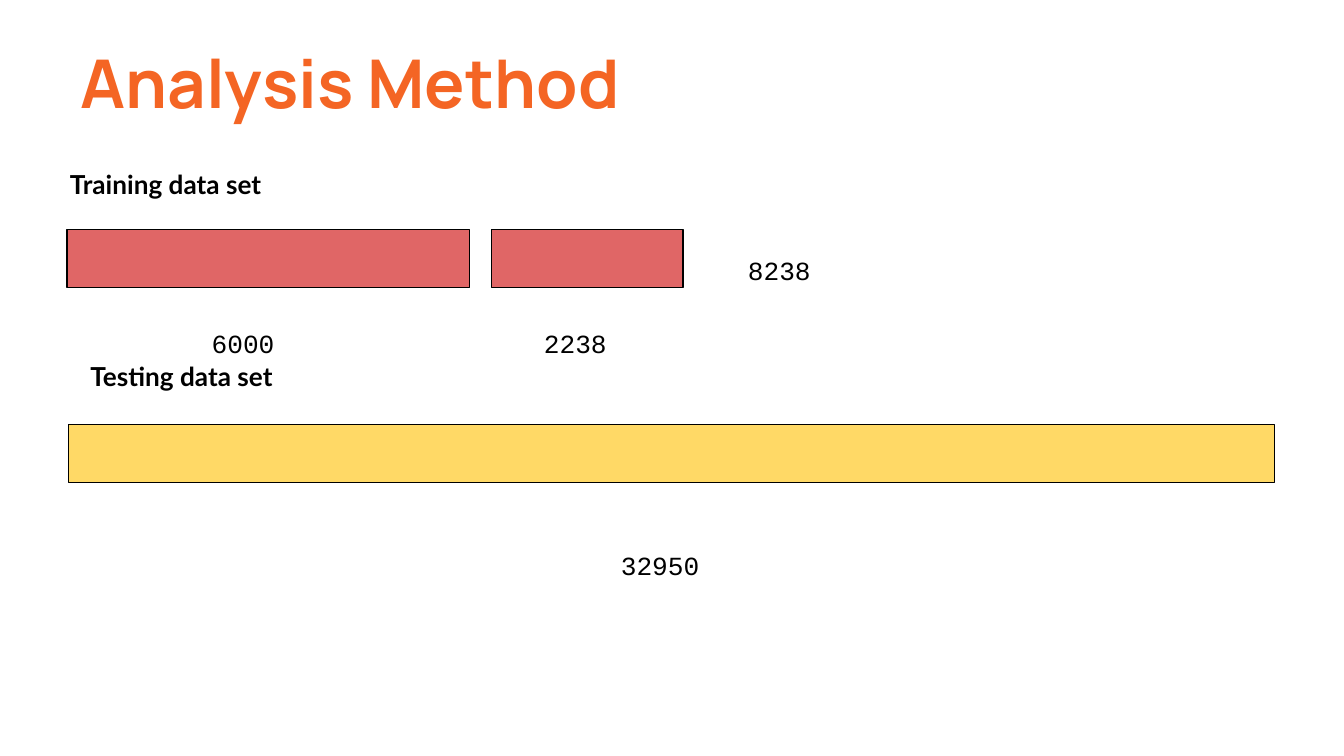
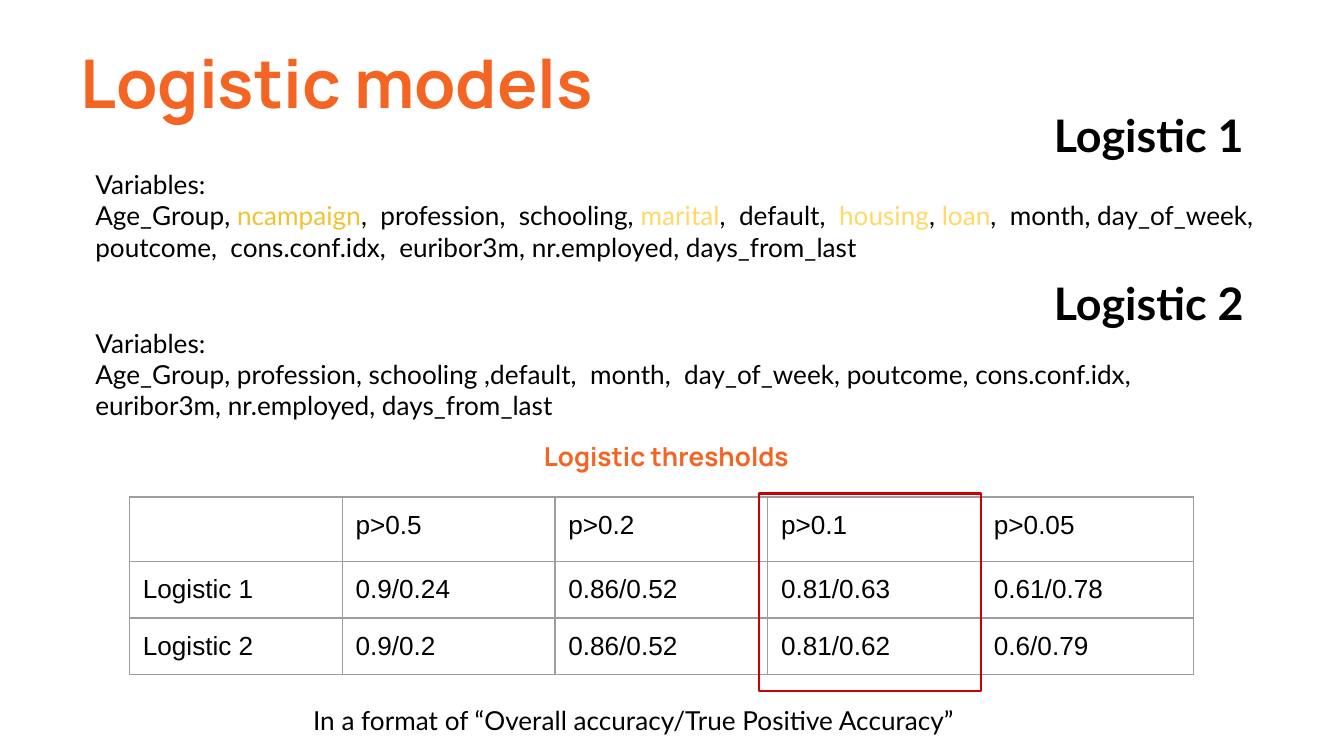
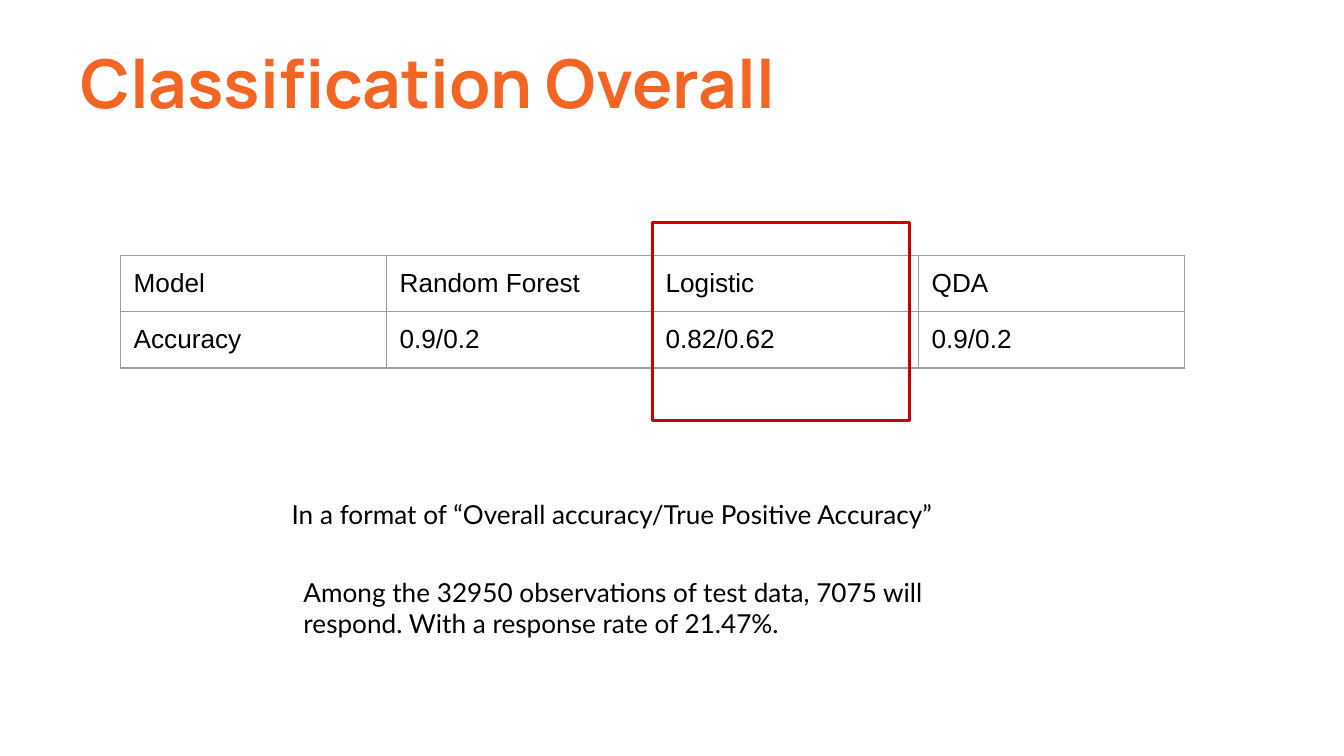
from pptx import Presentation
from pptx.dml.color import RGBColor as Rgb
from pptx.enum.shapes import MSO_SHAPE as Shape
from pptx.enum.text import MSO_AUTO_SIZE as Fit
from pptx.oxml.ns import qn
from pptx.util import Pt
from lxml.etree import SubElement as Sub

HUES = {
    "ink": "000000",
    "brand": "F46524",
    "train": "E06666",
    "test": "FFD966",
    "gold": "F1C232",
    "grid": "9E9E9E",
    "mark": "CC0000",
}
INSET = 7.2
NOTE = "In a format of “Overall accuracy/True Positive Accuracy”"
FULL = [
    ["Variables:"],
    ["Age_Group, ", ("ncampaign", "gold"), ",  profession,  schooling, ",
     ("marital", "test"), ",  default,  ", ("housing", "test"), ", ",
     ("loan", "test"),
     ",  month, day_of_week, poutcome,  cons.conf.idx,  euribor3m, "
     "nr.employed, days_from_last"],
]
SHORT = [
    ["Variables:"],
    ["Age_Group, profession, schooling ,default,  month,  day_of_week, "
     "poutcome, cons.conf.idx, euribor3m, nr.employed, days_from_last"],
]
LIMITS = [
    ["", "p>0.5", "p>0.2", "p>0.1", "p>0.05"],
    ["Logistic 1", "0.9/0.24", "0.86/0.52", "0.81/0.63", "0.61/0.78"],
    ["Logistic 2", "0.9/0.2", "0.86/0.52", "0.81/0.62", "0.6/0.79"],
]
MODELS = [
    ["Model", "Random Forest", "Logistic", "QDA"],
    ["Accuracy", "0.9/0.2", "0.82/0.62", "0.9/0.2"],
]


def hue(name):
    """Return the named colour."""
    return Rgb.from_string(HUES[name])


def write(frame, text, size=14, font="Lato", color="ink", bold=False,
          space=None, after=None):
    """Fill a frame with a string or with lists of runs."""
    rows = [[text]] if isinstance(text, str) else text
    for i, row in enumerate(rows):
        para = frame.add_paragraph() if i else frame.paragraphs[0]
        para.line_spacing = space
        para.space_after = None if after is None else Pt(after)
        para.font.size = Pt(size)
        for part in row:
            words, tint = (part, color) if isinstance(part, str) else part
            run = para.add_run()
            run.text = words
            run.font.size = Pt(size)
            run.font.name = font
            run.font.bold = bold
            run.font.color.rgb = hue(tint)


def label(slide, text, x, y, w, h, pad=INSET, grow=False, **form):
    """Place a wrapped text box."""
    frame = slide.shapes.add_textbox(Pt(x), Pt(y), Pt(w), Pt(h)).text_frame
    frame.word_wrap = True
    frame.auto_size = Fit.SHAPE_TO_FIT_TEXT if grow else Fit.NONE
    frame.margin_left = frame.margin_right = Pt(INSET)
    frame.margin_top = frame.margin_bottom = Pt(pad)
    write(frame, text, **form)


def title(slide, text, x=36, y=15, w=409, h=60.5, size=36):
    """Place a heading in the brand colour."""
    label(slide, text, x, y, w, h, size=size, font="Manrope",
          color="brand", bold=True, after=16)


def count(slide, text, x, y):
    """Place a row count beside or below its bar."""
    label(slide, text, x, y, 75.6, 33, font="Courier New", space=1.45)


def block(slide, x, y, w, h, fill=None, line="ink", width=0.75):
    """Draw an outlined rectangle, filled or hollow."""
    shape = slide.shapes.add_shape(
        Shape.RECTANGLE, Pt(x), Pt(y), Pt(w), Pt(h))
    shape.shadow.inherit = False
    if fill:
        shape.fill.solid()
        shape.fill.fore_color.rgb = hue(fill)
    else:
        shape.fill.background()
    shape.line.color.rgb = hue(line)
    shape.line.width = Pt(width)


def frame_cell(cell):
    """Give a cell thin borders and no fill."""
    props = cell._tc.get_or_add_tcPr()
    for side in ("a:lnL", "a:lnR", "a:lnT", "a:lnB"):
        edge = Sub(props, qn(side), w=str(Pt(0.75)))
        Sub(Sub(edge, qn("a:solidFill")), qn("a:srgbClr"), val=HUES["grid"])
    cell.fill.background()


def grid(slide, rows, x, y, w=570, high=30):
    """Place a table with equal columns and rows."""
    cols = len(rows[0])
    table = slide.shapes.add_table(
        len(rows), cols, Pt(x), Pt(y), Pt(w), Pt(high * len(rows))).table
    table.first_row = table.horz_banding = False
    for col in table.columns:
        col.width = Pt(w / cols)
    for r, row in enumerate(rows):
        table.rows[r].height = Pt(high)
        for c, text in enumerate(row):
            cell = table.cell(r, c)
            cell.margin_left = cell.margin_right = Pt(INSET)
            cell.margin_top = cell.margin_bottom = Pt(INSET)
            frame_cell(cell)
            write(cell.text_frame, text, font="Arial")


def mark(slide, x, y, w):
    """Draw the red frame around the chosen column."""
    block(slide, x, y, w, 106, line="mark", width=1.5)


def method(slide):
    """Build the data split slide."""
    title(slide, "Analysis Method")
    for x, y, w, fill in ((36, 123, 215.5, "train"),
                          (263.3, 123, 102.7, "train"),
                          (36.8, 227.5, 646, "test")):
        block(slide, x, y, w, 31, fill)
    for text, x, y in (("8238", 393.6, 121.5), ("6000", 106.3, 160.5),
                       ("2238", 284.3, 160.5), ("32950", 325.5, 279.5)):
        count(slide, text, x, y)
    for text, x, y in (("Training data set", 30.3, 83),
                       ("Testing data set", 41.3, 186)):
        label(slide, text, x, y, 121, 33, bold=True)


def logistic(slide):
    """Build the slide on both logistic models."""
    title(slide, "Logistic models")
    for name, top, text, y in (("Logistic 1", 50.4, FULL, 83),
                               ("Logistic 2", 140.6, SHORT, 168)):
        label(slide, name, 557.5, top, 142, 45.5, size=24, bold=True)
        label(slide, text, 44, y, 639.5, 69)
    grid(slide, LIMITS, 69.3, 266.3)
    title(slide, "Logistic thresholds", 284.3, 229, 161.5, 36.5, size=14)
    label(slide, NOTE, 160.7, 370.4, 421, 31.5)
    mark(slide, 406.6, 264.2, 119)


def overall(slide):
    """Build the model comparison slide."""
    title(slide, "Classification Overall")
    grid(slide, MODELS, 64.4, 136.8)
    label(slide, NOTE, 149.2, 260, 421, 31.5)
    mark(slide, 349.4, 119.4, 137.8)
    label(slide, "Among the 32950 observations of test data, 7075 will "
          "respond. With a response rate of 21.47%.",
          155.5, 305.3, 360, 41, pad=3.6, grow=True)


def main():
    """Build and save the deck."""
    deck = Presentation()
    deck.slide_width, deck.slide_height = Pt(720), Pt(405)
    for build in (method, logistic, overall):
        build(deck.slides.add_slide(deck.slide_layouts[6]))
    deck.save("out.pptx")


if __name__ == "__main__":
    main()
